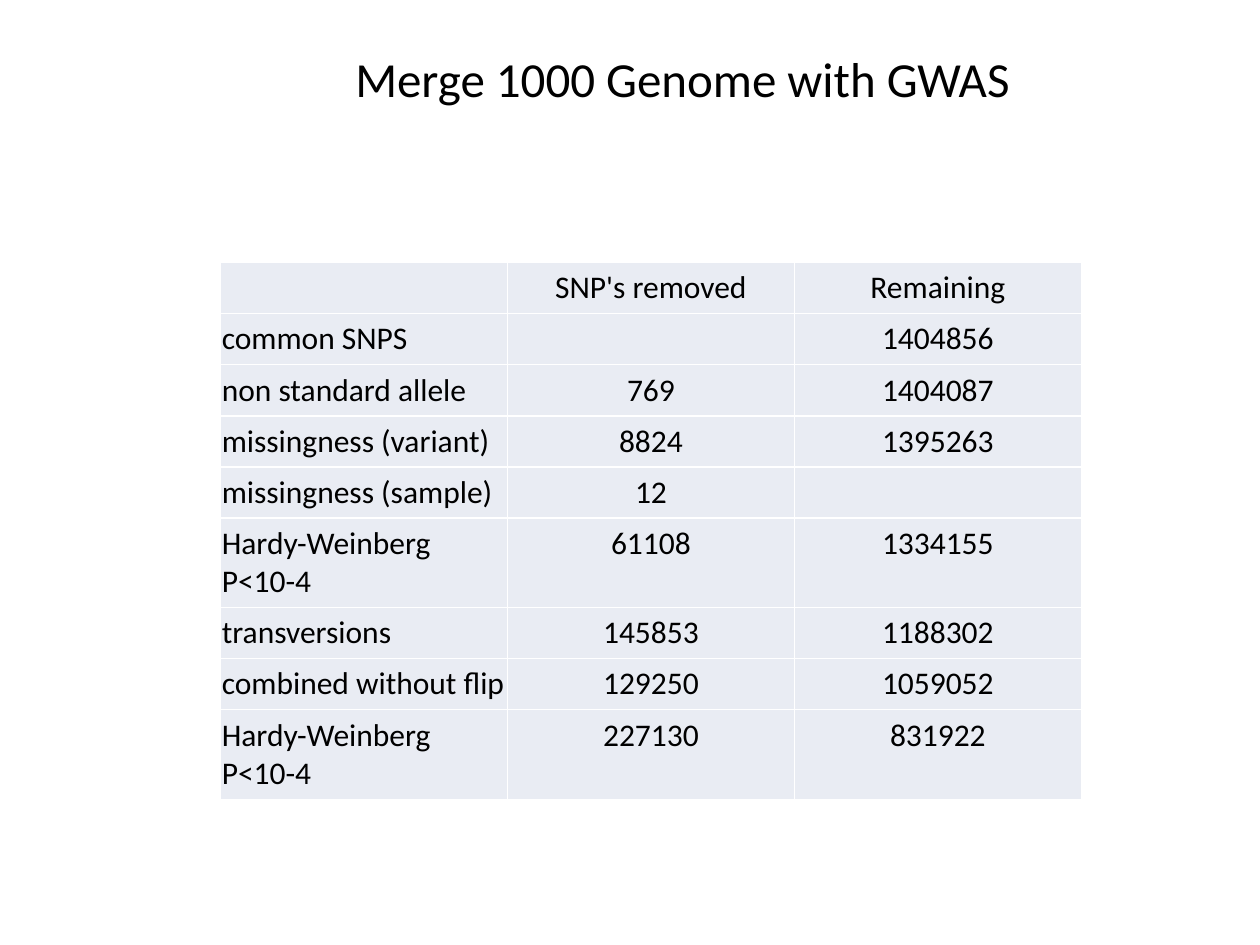
import pptx
import pptx.dml.color
import pptx.enum.text
import pptx.oxml
import pptx.oxml.ns
import pptx.util

Pt = pptx.util.Pt
CENTER = pptx.enum.text.PP_ALIGN.CENTER
LEFT = pptx.enum.text.PP_ALIGN.LEFT

COLORS = {"text": "000000", "cell": "E9ECF3", "border": "FFFFFF"}

SNP_COUNTS = [
    ("", "SNP's removed", "Remaining"),
    ("common SNPS", "", "1404856"),
    ("non standard allele", "769", "1404087"),
    ("missingness (variant)", "8824", "1395263"),
    ("missingness (sample)", "12", ""),
    ("Hardy-Weinberg P<10-4", "61108", "1334155"),
    ("transversions", "145853", "1188302"),
    ("combined without flip", "129250", "1059052"),
    ("Hardy-Weinberg P<10-4", "227130", "831922"),
]


class SlideBuilder:
    """Holds the style and the current slide."""

    font_name = "Calibri"
    title_size = 28
    cell_size = 18
    border_width = 0.96

    def __init__(self, slide):
        self.slide = slide

    def color(self, name):
        return pptx.dml.color.RGBColor.from_string(COLORS[name])

    def set_text(self, frame, text, size, align):
        paragraph = frame.paragraphs[0]
        paragraph.alignment = align
        paragraph.font.name = self.font_name
        paragraph.font.size = Pt(size)
        paragraph.font.color.rgb = self.color("text")
        if text:
            paragraph.add_run().text = text

    def title(self, text, left, top, width, height):
        box = self.slide.shapes.add_textbox(Pt(left), Pt(top), Pt(width), Pt(height))
        box.text_frame.word_wrap = True
        box.text_frame.auto_size = pptx.enum.text.MSO_AUTO_SIZE.SHAPE_TO_FIT_TEXT
        self.set_text(box.text_frame, text, self.title_size, CENTER)

    def borders(self, cell):
        properties = cell._tc.get_or_add_tcPr()
        for position, side in enumerate(("lnL", "lnR", "lnT", "lnB")):
            line = pptx.oxml.parse_xml(
                f'<a:{side} {pptx.oxml.ns.nsdecls("a")} w="{Pt(self.border_width)}">'
                f'<a:solidFill><a:srgbClr val="{COLORS["border"]}"/></a:solidFill>'
                f"</a:{side}>"
            )
            properties.insert(position, line)

    def table(self, rows, left, top, column_width, row_heights):
        columns = len(rows[0])
        grid = self.slide.shapes.add_table(
            len(rows), columns, Pt(left), Pt(top),
            Pt(column_width * columns), Pt(sum(row_heights)),
        ).table
        grid.first_row = grid.horz_banding = False
        for column in grid.columns:
            column.width = Pt(column_width)
        for row, height, values in zip(grid.rows, row_heights, rows):
            row.height = Pt(height)
            for index, (cell, value) in enumerate(zip(row.cells, values)):
                cell.margin_left = cell.margin_right = Pt(0.75)
                cell.fill.solid()
                cell.fill.fore_color.rgb = self.color("cell")
                self.borders(cell)
                self.set_text(cell.text_frame, value, self.cell_size,
                              CENTER if index else LEFT)


def main():
    presentation = pptx.Presentation()
    presentation.slide_width = Pt(720)
    presentation.slide_height = Pt(540)
    builder = SlideBuilder(presentation.slides.add_slide(presentation.slide_layouts[6]))

    # Filtering steps; the Hardy-Weinberg labels take two lines
    heights = [36.6 if row[0].startswith("Hardy") else 18.6 for row in SNP_COUNTS]
    builder.table(SNP_COUNTS, 126, 150, 164, heights)

    # Heading
    builder.title("Merge 1000 Genome with GWAS", 138, 24, 504, 40.5)

    presentation.save("out.pptx")


if __name__ == "__main__":
    main()
